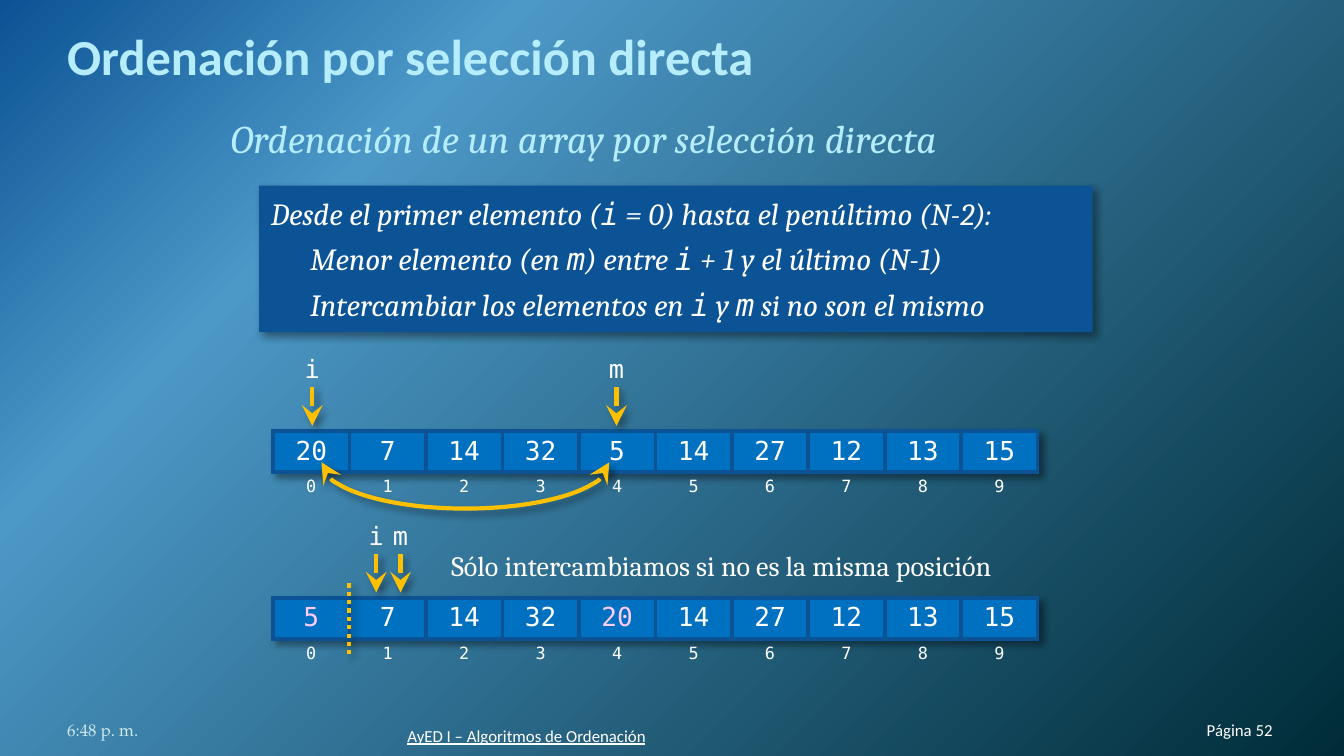
from lxml import etree
from pptx import Presentation
from pptx.dml.color import RGBColor
from pptx.enum import dml, shapes, text
from pptx.oxml import parse_xml
from pptx.oxml.ns import nsdecls, qn
from pptx.util import Cm, Pt

COLORS = {"navy": "0B5394", "sky": "4C98C7", "night": "002C38", "cell": "0070C0",
          "pale": "B5EDFD", "mist": "D1EAEE", "white": "FFFFFF", "pink": "FFCCFF",
          "gold": "FFC000", "black": "000000"}
SANS, SERIF, MONO, CLOCK = "Calibri", "Cambria", "DejaVu Sans Mono", "TeX Gyre Pagella"

# Content: text between bars is code
TITLE = "Ordenación por selección directa"
SUBTITLE = "Ordenación de un array por selección directa"
STEPS = [("Desde el primer elemento (|i| = 0) hasta el penúltimo (N-2):", 0.76),
         ("Menor elemento (en |m|) entre |i| + 1 y el último (N-1)", 1.5),
         ("Intercambiar los elementos en |i| y |m| si no son el mismo", 1.5)]
NOTE = "Sólo intercambiamos si no es la misma posición"
ARRAYS = [
    {"top": 8.15, "values": [20, 7, 14, 32, 5, 14, 27, 12, 13, 15],
     "swapped": (), "pointers": {"i": 5.9, "m": 11.65}},
    {"top": 11.3, "values": [5, 7, 14, 32, 20, 14, 27, 12, 13, 15],
     "swapped": (0, 4), "pointers": {"i": 7.11, "m": 7.57}},
]
FOOTERS = [("6:48 p. m.", (1.27, 13.23, 5.92, 0.76), {"font": CLOCK, "color": "mist"}),
           ("AyED I – Algoritmos de Ordenación", (7.7, 13.34, 9.6, 0.76),
            {"font": SANS, "underline": True}),
           ("Página 52", (21.56, 13.23, 2.49, 0.76),
            {"font": SANS, "align": text.PP_ALIGN.RIGHT})]
TABLE_LEFT, COLUMN, ROWS = 5.16, 1.445, (0.77, 0.62)


def rgb(name):
    return RGBColor.from_string(COLORS[name])


def write(para, content, font=SERIF, size=9, color="white", bold=False, italic=False,
          underline=False, align=None, after=0, indent=0):
    para.alignment = align
    para.space_after = Pt(after)
    if indent:
        para._p.get_or_add_pPr().set("marL", str(Cm(indent)))
    for index, piece in enumerate(content.split("|")):
        span = para.add_run()
        span.text = piece
        span.font.name = MONO if index % 2 else font
        span.font.size = Pt(size)
        span.font.color.rgb = rgb(color)
        span.font.bold, span.font.italic, span.font.underline = bold, italic, underline


def add_box(page, place, margins=(0.25, 0.13, 0.25, 0.13), anchor=text.MSO_ANCHOR.TOP):
    frame = page.shapes.add_textbox(*map(Cm, place)).text_frame
    frame.word_wrap = True
    frame.vertical_anchor = anchor
    (frame.margin_left, frame.margin_top,
     frame.margin_right, frame.margin_bottom) = map(Cm, margins)
    return frame


def shadow_xml():
    return parse_xml(
        f'<a:effectLst {nsdecls("a")}><a:outerShdw blurRad="{Pt(4)}" dist="{Pt(3)}" '
        f'dir="2700000" algn="tl" rotWithShape="0"><a:srgbClr val="{COLORS["black"]}">'
        '<a:alpha val="40000"/></a:srgbClr></a:outerShdw></a:effectLst>')


def cast_shadow(shape):
    properties = shape._element.spPr
    for old in properties.findall(qn("a:effectLst")):
        properties.remove(old)
    properties.append(shadow_xml())


def style_stroke(shape, ends=()):
    shape.line.color.rgb = rgb("gold")
    shape.line.width = Pt(2.25)
    for end in ends:
        etree.SubElement(shape.line._get_or_add_ln(), qn(f"a:{end}"),
                         type="stealth", w="lg", len="lg")
    cast_shadow(shape)


def add_stroke(page, start, finish, ends=()):
    stroke = page.shapes.add_connector(
        shapes.MSO_CONNECTOR.STRAIGHT, *map(Cm, (*start, *finish)))
    style_stroke(stroke, ends)
    return stroke


def set_borders(cell, visible):
    properties = cell._tc.get_or_add_tcPr()
    for index, side in enumerate("LRTB"):
        paint = (f'<a:solidFill><a:srgbClr val="{COLORS["navy"]}"/></a:solidFill>'
                 if side in visible else "<a:noFill/>")
        properties.insert(index, parse_xml(
            f'<a:ln{side} {nsdecls("a")} w="{Pt(2.25)}">{paint}</a:ln{side}>'))


def add_array(page, top, values, swapped, pointers):
    count = len(values)
    table = page.shapes.add_table(2, count, Cm(TABLE_LEFT), Cm(top),
                                  Cm(COLUMN * count), Cm(sum(ROWS))).table
    table.first_row = table.horz_banding = False
    table._tbl.tblPr.insert(0, shadow_xml())
    for row, height in zip(table.rows, ROWS):
        row.height = Cm(height)
    for index, value in enumerate(values):
        table.columns[index].width = Cm(COLUMN)
        for row, label in enumerate((value, index)):
            cell = table.cell(row, index)
            cell.margin_left = cell.margin_right = Cm(0.18)
            cell.margin_top = cell.margin_bottom = Cm(0.09)
            if row == 0:
                cell.fill.solid()
                cell.fill.fore_color.rgb = rgb("cell")
            else:
                cell.fill.background()
            set_borders(cell, "T" if row else "LRTB")
            write(cell.text_frame.paragraphs[0], str(label), font=MONO,
                  size=9 if row else 14, align=text.PP_ALIGN.CENTER,
                  color="pink" if row == 0 and index in swapped else "white")
    for name, x in pointers.items():
        add_stroke(page, (x, top - 0.83), (x, top - 0.1), ["tailEnd"])
        frame = add_box(page, (x - 0.4, top - 1.6, 0.8, 0.84), (0, 0.13, 0, 0.13))
        write(frame.paragraphs[0], name, font=MONO, size=13.5,
              align=text.PP_ALIGN.CENTER)


deck = Presentation()
deck.slide_width, deck.slide_height = Cm(25.4), Cm(14.29)
page = deck.slides.add_slide(deck.slide_layouts[6])

# Diagonal background
stops = "".join(f'<a:gs pos="{at * 1000}"><a:srgbClr val="{COLORS[name]}"/></a:gs>'
                for at, name in ((0, "navy"), (25, "sky"), (100, "night")))
page._element.cSld.insert(0, parse_xml(
    f'<p:bg {nsdecls("p", "a")}><p:bgPr><a:gradFill rotWithShape="1"><a:gsLst>{stops}'
    '</a:gsLst><a:lin ang="2700000" scaled="0"/></a:gradFill><a:effectLst/>'
    '</p:bgPr></p:bg>'))

# Panel behind the steps
panel = page.shapes.add_shape(shapes.MSO_SHAPE.RECTANGLE,
                              *map(Cm, (4.9, 3.51, 15.75, 2.77)))
panel.fill.solid()
panel.fill.fore_color.rgb = rgb("navy")
panel.line.fill.background()
cast_shadow(panel)

# Title, subtitle and steps
title = add_box(page, (1.27, 0.58, 22.86, 1.04), (0, 0.13, 0, 0),
                text.MSO_ANCHOR.BOTTOM)
write(title.paragraphs[0], TITLE, font=SANS, size=27, color="pale", bold=True)
body = add_box(page, (4.11, 2.03, 17.42, 10.64))
write(body.paragraphs[0], SUBTITLE, size=21, color="pale", italic=True, after=18)
for step, indent in STEPS:
    write(body.add_paragraph(), step, size=16.5, italic=True, after=4.5, indent=indent)

# Arrays with their pointers
for array in ARRAYS:
    add_array(page, **array)

# Swap arc, sorted-part divider and note
arc = page.shapes.add_shape(shapes.MSO_SHAPE.ARC, *map(Cm, (7.92, 6.02, 1.75, 5.44)))
arc.rotation = 90
arc.adjustments[0], arc.adjustments[1] = 162, 54
arc.fill.background()
style_stroke(arc, ["headEnd", "tailEnd"])
divider = add_stroke(page, (6.6, 12.37), (6.6, 11.02))
divider.line.dash_style = dml.MSO_LINE.ROUND_DOT
note = add_box(page, (8.28, 10.24, 11.35, 0.89))
write(note.paragraphs[0], NOTE, size=15)

# Footer
for content, place, style in FOOTERS:
    frame = add_box(page, place, (0, 0, 0, 0), text.MSO_ANCHOR.BOTTOM)
    write(frame.paragraphs[0], content, **style)

deck.save("out.pptx")
